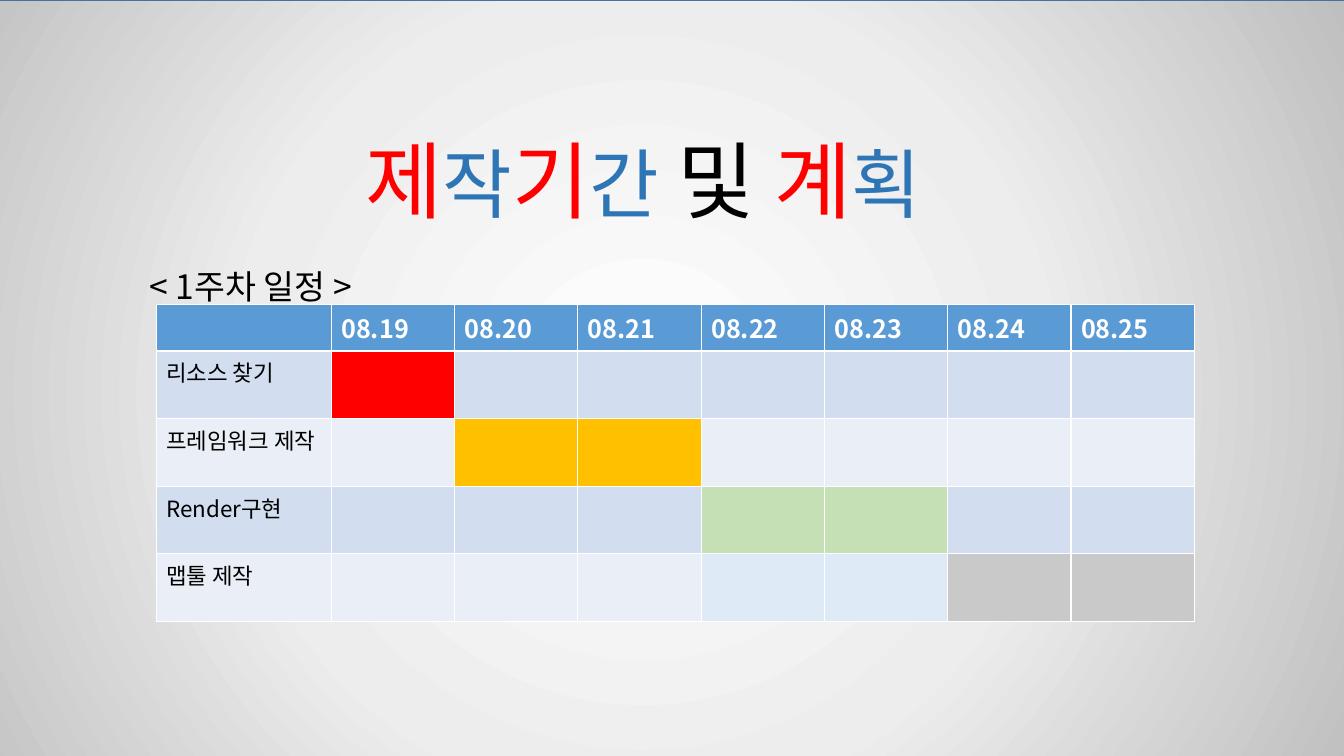
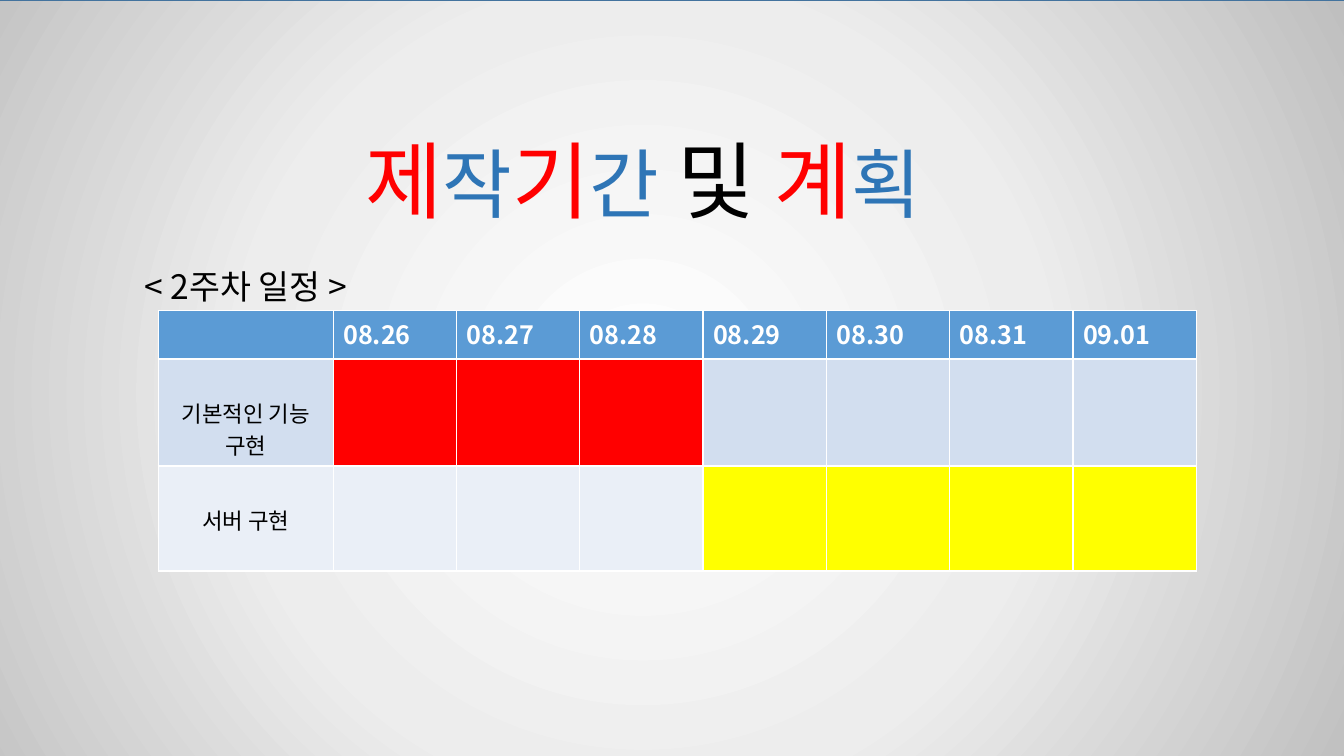
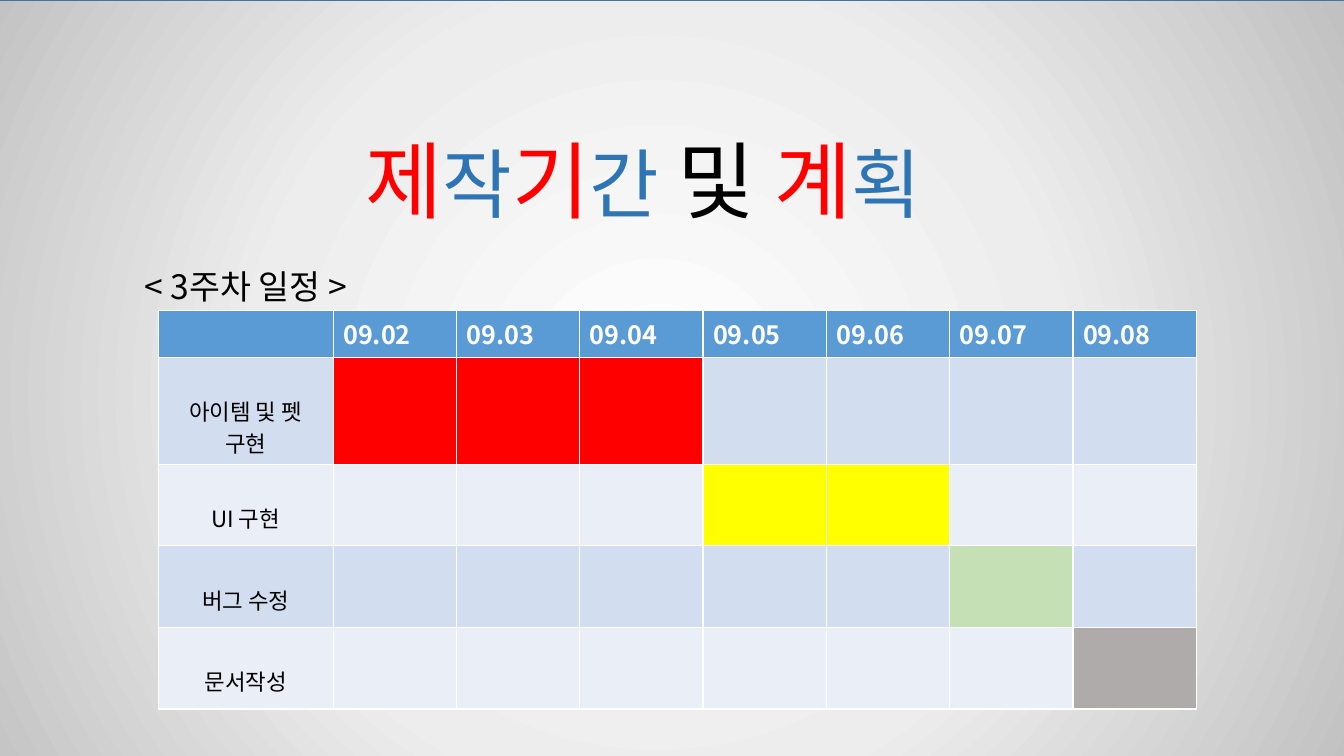
"""Build three slides with the weekly production plan."""
from lxml import etree
from pptx import Presentation, oxml
from pptx import util as u
from pptx.dml.color import RGBColor
from pptx.enum import shapes, text
from pptx.oxml.ns import qn

FONT = "Noto Sans CJK KR"
RED, BLUE, BLACK, WHITE = "FF0000", "2E75B6", "000000", "FFFFFF"
GOLD, YELLOW, GREEN, PALE = "FFC000", "FFFF00", "C5E0B4", "DEEBF7"
SILVER, GRAY = "C9C9C9", "AFABAB"
HEAD, BANDS = "5B9BD5", ("D2DEEF", "EAEFF7")
GLOW = ((0, WHITE), (50, "EDEDED"), (100, "BFBFBF"))
TITLE = (("제", 60, RED), ("작", 54, BLUE), ("기", 60, RED), ("간", 54, BLUE),
         (" 및 ", 60, BLACK), ("계", 60, RED), ("획", 54, BLUE))


def hue(code):
    return RGBColor.from_string(code)


def area(*sides):
    return [u.Pt(side) for side in sides]


class Deck:
    def __init__(self):
        self.show = Presentation()
        self.show.slide_width, self.show.slide_height = area(960, 540)

    def start(self):
        self.slide = self.show.slides.add_slide(self.show.slide_layouts[0])
        sub = self.slide.placeholders[1].element
        sub.getparent().remove(sub)

    def style(self, font, size, color, bold=False):
        font.size, font.bold, font.name = u.Pt(size), bold, FONT
        font.color.rgb = hue(color)
        etree.SubElement(font._element, qn("a:ea"), typeface=FONT)

    def back(self, left):
        box = self.slide.shapes.add_shape(
            shapes.MSO_SHAPE.RECTANGLE, *area(left, 0, 1002.2, 560.9))
        box.shadow.inherit = False
        box.line.color.rgb, box.line.width = hue("43739E"), u.Pt(1)
        box.fill.background()
        stops = "".join(f'<a:gs pos="{at * 1000}"><a:srgbClr val="{code}"/></a:gs>'
                        for at, code in GLOW)
        space = "http://schemas.openxmlformats.org/drawingml/2006/main"
        glow = oxml.parse_xml(
            f'<a:gradFill xmlns:a="{space}"><a:gsLst>{stops}</a:gsLst>'
            '<a:path path="circle"><a:fillToRect l="50000" t="50000" r="50000" b="50000"/>'
            '</a:path></a:gradFill>')
        props = box.element.spPr
        props.replace(props.find(qn("a:noFill")), glow)
        self.slide.shapes.element.insert(2, box.element)

    def title(self):
        head = self.slide.shapes.title
        head.left, head.top, head.width, head.height = area(99.4, 72.7, 720, 95.8)
        frame = head.text_frame
        frame.auto_size = text.MSO_AUTO_SIZE.NONE
        frame.vertical_anchor = text.MSO_ANCHOR.BOTTOM
        para = frame.paragraphs[0]
        para.alignment, para.line_spacing = text.PP_ALIGN.CENTER, 0.9
        for part, size, color in TITLE:
            run = para.add_run()
            run.text = part
            self.style(run.font, size, color)

    def label(self, words, left):
        box = self.slide.shapes.add_textbox(*area(left, 195.8, 256.3, 17.3))
        frame = box.text_frame
        frame.word_wrap = True
        frame.vertical_anchor = text.MSO_ANCHOR.MIDDLE
        self.put(frame, words, 24, BLACK).alignment = text.PP_ALIGN.CENTER

    def put(self, frame, words, size, color, bold=False):
        para = frame.paragraphs[0]
        para.text = words
        self.style(para.font, size, color, bold)
        return para

    def table(self, left, top, heights, days, tasks, low):
        first, rest = heights
        rows, cols = len(tasks) + 1, len(days) + 1
        grid = self.slide.shapes.add_table(
            rows, cols, *area(left, top, 741.6, first + rest * len(tasks))).table
        for col in range(cols):
            grid.columns[col].width = u.Pt(88.1 if col else 125)
        for row in range(rows):
            grid.rows[row].height = u.Pt(rest if row else first)
            fills = [BANDS[(row - 1) % 2] if row else HEAD] * cols
            for begin, count, color in tasks[row - 1][1:] if row else ():
                fills[begin:begin + count] = [color] * count
            for col, color in enumerate(fills):
                cell = grid.cell(row, col)
                cell.fill.solid()
                cell.fill.fore_color.rgb = hue(color)
        for col, day in enumerate(days, 1):
            self.put(grid.cell(0, col).text_frame, day, 18, WHITE, True)
        for row, task in enumerate(tasks, 1):
            cell = grid.cell(row, 0)
            para = self.put(cell.text_frame, task[0], 16, BLACK)
            if low:
                cell.margin_top = u.Pt(26.8)
                para.alignment = text.PP_ALIGN.CENTER


WEEKS = (
    dict(back=-41.8, label=51.1, left=111.6, top=217.4, heights=(28.8, 48.3), low=False,
         days="08.19 08.20 08.21 08.22 08.23 08.24 08.25",
         tasks=(("리소스 찾기", (1, 1, RED)),
                ("프레임워크 제작", (2, 2, GOLD)),
                ("Render구현", (4, 2, GREEN)),
                ("맵툴 제작", (4, 2, PALE), (6, 2, SILVER)))),
    dict(back=-41.8, label=47.5, left=113, top=221.8, heights=(34.6, 74.9), low=True,
         days="08.26 08.27 08.28 08.29 08.30 08.31 09.01",
         tasks=(("기본적인 기능 구현", (1, 3, RED)),
                ("서버 구현", (4, 4, YELLOW)))),
    dict(back=-31.7, label=47.5, left=113, top=221.8, heights=(27.4, 58.3), low=True,
         days="09.02 09.03 09.04 09.05 09.06 09.07 09.08",
         tasks=(("아이템 및 펫 구현", (1, 3, RED)),
                ("UI 구현", (4, 2, YELLOW)),
                ("버그 수정", (6, 1, GREEN)),
                ("문서작성", (7, 1, GRAY)))),
)

deck = Deck()
for number, week in enumerate(WEEKS, 1):
    deck.start()
    deck.back(week["back"])
    deck.title()
    deck.table(week["left"], week["top"], week["heights"],
               week["days"].split(), week["tasks"], week["low"])
    deck.label(f"< {number}주차 일정 >", week["label"])
deck.show.save("out.pptx")
